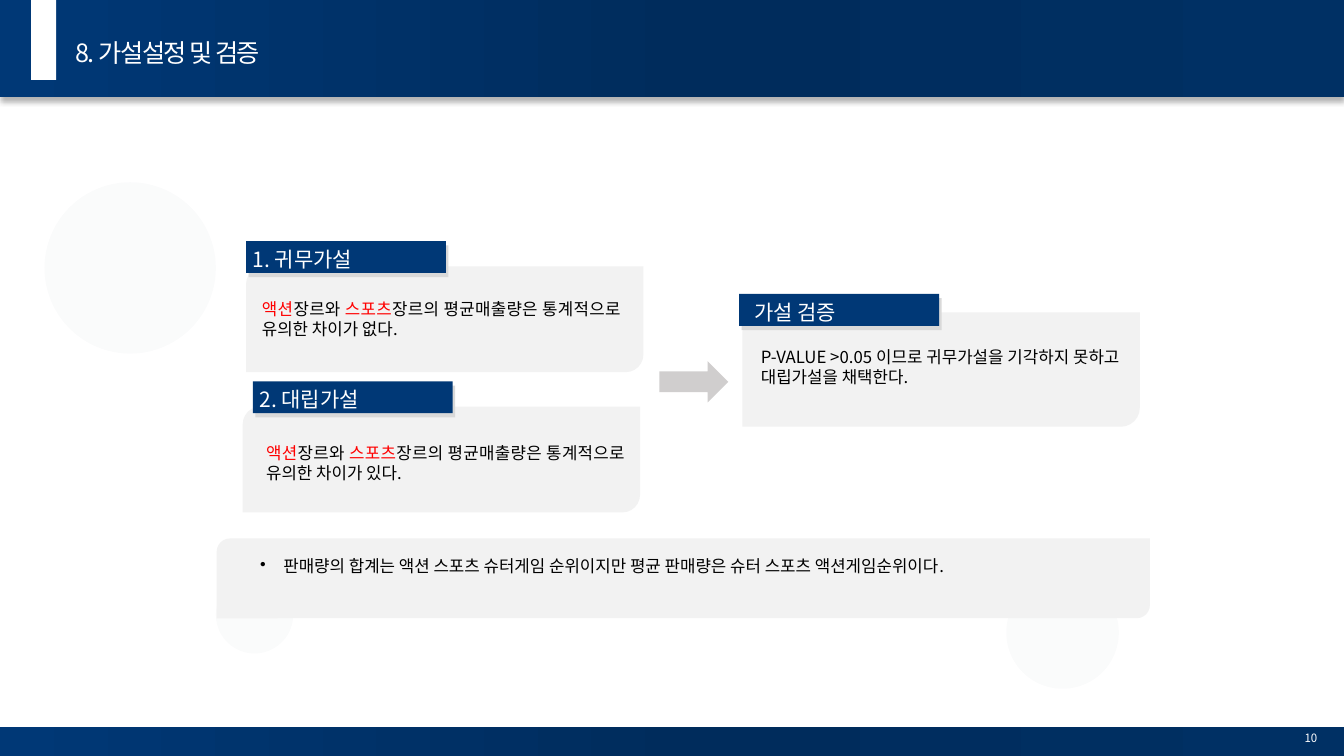
from copy import deepcopy
from pptx import Presentation
from pptx.dml.color import RGBColor
from pptx.enum.shapes import MSO_SHAPE as Preset
from pptx.enum.text import MSO_ANCHOR as Anchor, PP_ALIGN as Align
from pptx.oxml import parse_xml
from pptx.oxml.ns import nsdecls, qn
from pptx.util import Inches, Pt

COLUMNS, ROWS = 160, 90
CELL = Inches(1 / 12)
FONT = "Noto Sans CJK KR"

WHITE = RGBColor(0xFF, 0xFF, 0xFF)
BLACK = RGBColor(0x00, 0x00, 0x00)
RED = RGBColor(0xFF, 0x00, 0x00)
NAVY = RGBColor(0x00, 0x38, 0x76)
NAVY_DARK = RGBColor(0x00, 0x2C, 0x5C)
NAVY_MID = RGBColor(0x00, 0x30, 0x64)
BUBBLE = RGBColor(0x01, 0x38, 0x57)
PANEL = RGBColor(0xF2, 0xF2, 0xF2)
TAG_SHADE = RGBColor(0xD9, 0xD9, 0xD9)
ARROW = RGBColor(0xD0, 0xCE, 0xCE)


def cells(box):
    return [round(length * CELL) for length in box]


def add_shape(page, preset, box, color):
    shape = page.shapes.add_shape(preset, *cells(box))
    shape.shadow.inherit = False
    shape.line.fill.background()
    shape.fill.solid()
    shape.fill.fore_color.rgb = color
    return shape


def add_text(page, box, spans, size=12, color=BLACK, align=Align.LEFT,
             anchor=Anchor.TOP, leading=1.0, before=0, tracking=0, bullet=None):
    frame = page.shapes.add_textbox(*cells(box)).text_frame
    frame.word_wrap = True
    frame.vertical_anchor = anchor
    para = frame.paragraphs[0]
    para.alignment = align
    para.line_spacing = leading
    para.space_before = Pt(before)
    if bullet:
        props = para._p.get_or_add_pPr()
        props.set("marL", str(Inches(0.23)))
        props.set("indent", str(Inches(-0.23)))
        props.append(parse_xml(f'<a:buChar {nsdecls("a")} char="{bullet}"/>'))
    for text, span_color in [(spans, color)] if isinstance(spans, str) else spans:
        span = para.add_run()
        span.text = text
        span.font.size = Pt(size)
        span.font.name = FONT
        span.font.color.rgb = span_color
        props = span._r.get_or_add_rPr()
        props.append(parse_xml(f'<a:ea {nsdecls("a")} typeface="{FONT}"/>'))
        if tracking:
            props.set("spc", str(round(tracking * 100)))


def add_band(page, box):
    band = add_shape(page, Preset.RECTANGLE, box, NAVY)
    band.fill.gradient()
    band.fill.gradient_angle = 180
    stop_list = band._element.spPr.find(".//" + qn("a:gsLst"))
    stop_list.append(deepcopy(stop_list[-1]))
    looks = [(0, NAVY_MID), (0.48, NAVY_DARK), (1, NAVY)]
    for stop, (position, color) in zip(band.fill.gradient_stops, looks):
        stop.position = position
        stop.color.rgb = color
    return band


def add_header(page, box, title):
    left, top, width, height = box
    band = add_band(page, box)
    band._element.spPr.find(qn("a:effectLst")).append(parse_xml(
        f'<a:outerShdw {nsdecls("a")} blurRad="{Pt(4)}" dist="{Pt(3)}" '
        'dir="5400000" algn="t" rotWithShape="0"><a:srgbClr val="000000">'
        '<a:alpha val="30000"/></a:srgbClr></a:outerShdw>'))
    add_shape(page, Preset.RECTANGLE, (left + 3.7, top, 3, 9.5), WHITE)
    add_text(page, (left + 7.8, top + 1.7, 54.7, 7.2), title, size=18, color=WHITE,
             anchor=Anchor.MIDDLE, leading=1.5, tracking=-1.1)


def add_footer(page, box, number):
    left, top, width, height = box
    add_band(page, box)
    add_text(page, (left + width - 10.2, top, 8.2, 2.9), number, size=8.2,
             color=WHITE, align=Align.RIGHT)


def add_bubble(page, left, top, size):
    bubble = add_shape(page, Preset.OVAL, (left, top, size, size), BUBBLE)
    color = bubble._element.spPr.find(".//" + qn("a:srgbClr"))
    color.append(parse_xml(f'<a:alpha {nsdecls("a")} val="2000"/>'))


def add_tag(page, box, label, label_shift):
    left, top, width, height = box
    add_shape(page, Preset.RECTANGLE, (left + 0.3, top + 0.5, width, height), TAG_SHADE)
    add_shape(page, Preset.RECTANGLE, box, NAVY)
    add_text(page, (left + label_shift, top - 0.9, 22.2, 5.2), label, size=15,
             color=WHITE, anchor=Anchor.MIDDLE, leading=1.3)


def add_card(page, box, label, body, tag_at, body_at, label_shift=-0.4):
    left, top, width, height = box
    add_shape(page, Preset.ROUND_2_DIAG_RECTANGLE, box, PANEL)
    add_tag(page, (left + tag_at[0], top + tag_at[1], 23.8, 3.8), label, label_shift)
    add_text(page, (left + body_at[0], top + body_at[1], 45.1, 6.9), body,
             align=Align.JUSTIFY, before=10)


def add_summary(page, box, text):
    left, top, width, height = box
    add_shape(page, Preset.ROUND_2_DIAG_RECTANGLE, box, PANEL)
    add_text(page, (left + 4, top + 0.8, width - 4, 7), text, align=Align.JUSTIFY,
             leading=1.3, before=10, bullet="•")


def hypothesis(ending):
    return [("액션", RED), ("장르와 ", BLACK), ("스포츠", RED),
            (f"장르의 평균매출량은 통계적으로 유의한 차이가 {ending}.", BLACK)]


def build_hypothesis_page(deck):
    page = deck.slides.add_slide(deck.slide_layouts[6])
    add_footer(page, (0, ROWS - 3.5, COLUMNS, 3.5), "10")
    add_header(page, (0, 0, COLUMNS, 11.5), "8. 가설설정 및 검증")
    for bubble in [(5.3, 21.7, 20.4), (119.8, 68.6, 13.4), (25.7, 68.6, 9.2)]:
        add_bubble(page, *bubble)
    add_card(page, (29.3, 31.7, 47.3, 12.6), "1. 귀무가설", hypothesis("없다"),
             tag_at=(0, -3), body_at=(0.7, 3.3))
    add_card(page, (28.9, 48.4, 47.3, 12.6), "2. 대립가설", hypothesis("있다"),
             tag_at=(1.2, -3), body_at=(1.6, 3.7))
    add_card(page, (88.4, 37.2, 47.3, 13.6), "가설 검증",
             "P-VALUE >0.05 이므로 귀무가설을 기각하지 못하고 대립가설을 채택한다.",
             tag_at=(-0.4, -2.2), body_at=(1, 3.5), label_shift=0.6)
    add_shape(page, Preset.RIGHT_ARROW, (78.5, 43, 8.2, 4.9), ARROW)
    add_summary(page, (25.8, 64.1, 111.1, 9.5),
                "판매량의 합계는 액션 스포츠 슈터게임 순위이지만 "
                "평균 판매량은 슈터 스포츠 액션게임순위이다.")


deck = Presentation()
deck.slide_width, deck.slide_height = cells((COLUMNS, ROWS))
build_hypothesis_page(deck)
deck.save("out.pptx")
